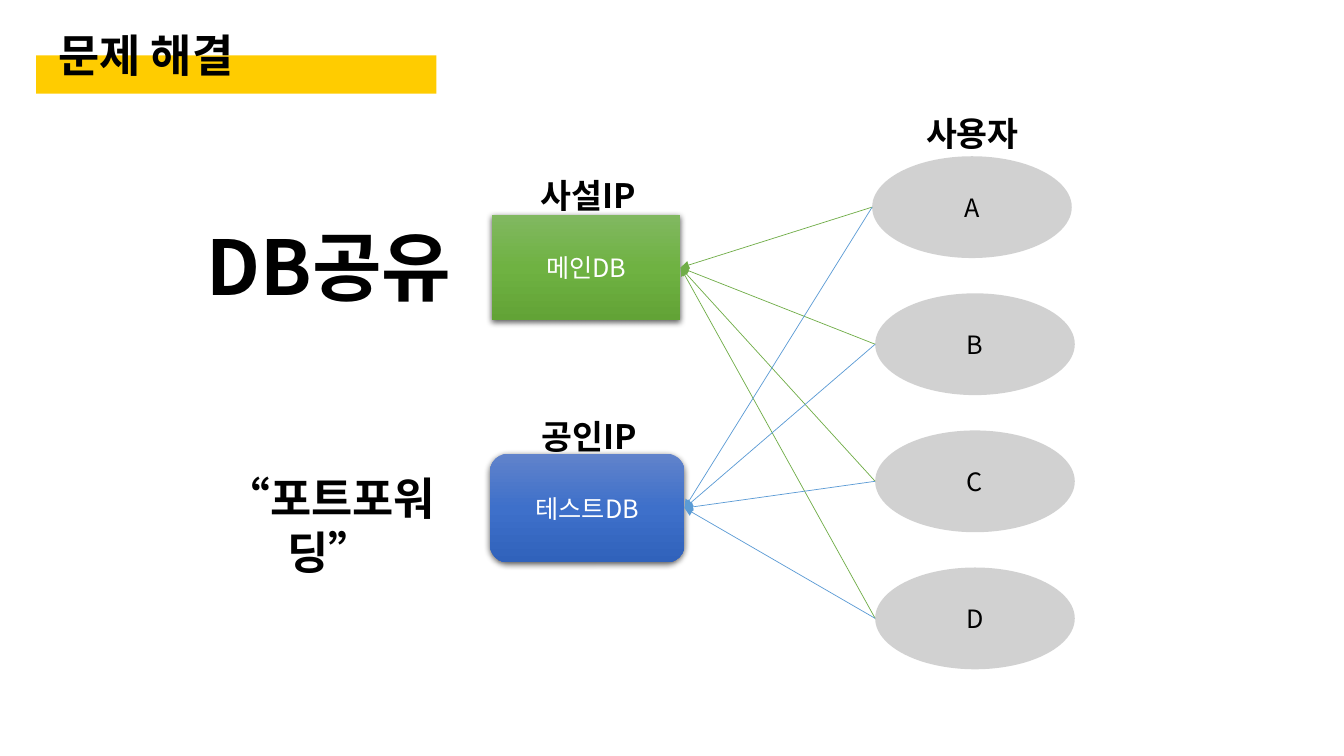
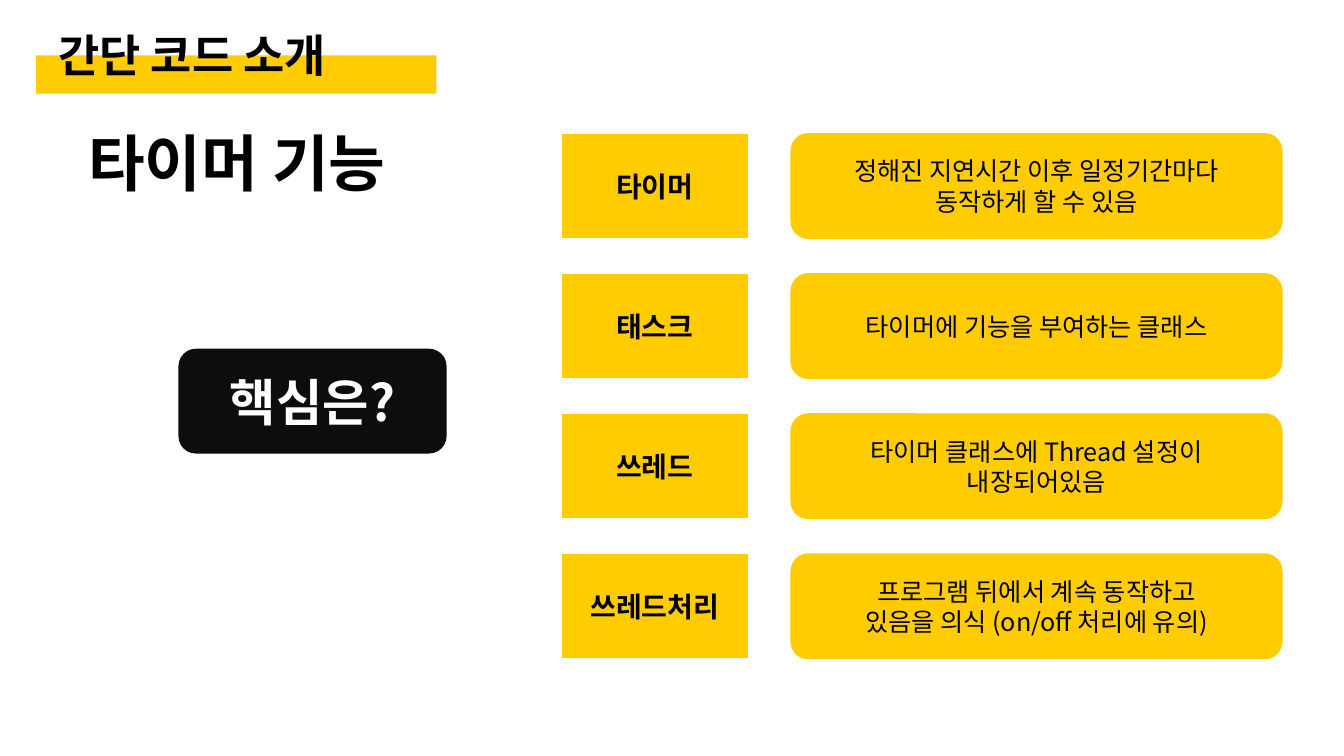
"""Build two slides: shared databases and the timer feature."""
from dataclasses import dataclass

from lxml.etree import SubElement
from pptx import Presentation
from pptx.dml.color import RGBColor
from pptx.enum.shapes import MSO_CONNECTOR, MSO_SHAPE as SHAPE
from pptx.enum.text import MSO_ANCHOR as ANCHOR, MSO_AUTO_SIZE as AUTOSIZE, PP_ALIGN as ALIGN
from pptx.oxml.ns import qn
from pptx.util import Emu, Pt


@dataclass(frozen=True)
class Theme:
    font: str = "Noto Sans CJK KR"
    black: str = "000000"
    white: str = "FFFFFF"
    ink: str = "0D0D0D"
    yellow: str = "FFCC00"
    gray: str = "A5A5A5"
    green_line: str = "70AD47"
    blue_line: str = "5B9BD5"
    green_fade: tuple = ("81B861", "6FB242", "62A336")
    blue_fade: tuple = ("6183CB", "3E70CA", "3062BB")
    body: int = 18
    name: int = 20
    label: int = 24
    title: int = 32
    question: int = 36
    heading: int = 44
    display: int = 54


T = Theme()
EMU_PER_PX = 9144


def px(*lengths):
    return [Emu(n * EMU_PER_PX) for n in lengths]


def rgb(color):
    return RGBColor.from_string(color)


def write(tf, text, size, color, bold, align):
    tf.word_wrap = True
    tf.text = text
    for p in tf.paragraphs:
        p.alignment = align
        for r in p.runs:
            r.font.size, r.font.bold, r.font.name = Pt(size), bold, T.font
            r.font.color.rgb = rgb(color)
            SubElement(r.font._element, qn("a:ea"), typeface=T.font)


def add_label(shapes, box, text, size, align=ALIGN.CENTER):
    tf = shapes.add_textbox(*px(*box)).text_frame
    write(tf, text, size, T.black, True, align)
    tf.auto_size = AUTOSIZE.SHAPE_TO_FIT_TEXT


def add_box(shapes, kind, box, fill, text="", size=T.body, color=T.black, bold=False, outline=None):
    sp = shapes.add_shape(kind, *px(*box))
    sp.fill.solid()
    sp.fill.fore_color.rgb = rgb(fill)
    if outline:
        sp.line.color.rgb = rgb(outline)
        sp.line.width = Pt(1.5)
    else:
        sp.line.fill.background()
    sp.shadow.inherit = False
    if text:
        write(sp.text_frame, text, size, color, bold, ALIGN.CENTER)
        sp.text_frame.vertical_anchor = ANCHOR.MIDDLE
    return sp


def set_alpha(color_element, percent):
    SubElement(color_element, qn("a:alpha"), val=str(percent * 1000))


def add_database(shapes, kind, box, fade, text):
    sp = add_box(shapes, kind, box, fade[0], text, color=T.white)
    sp.fill.gradient()
    sp.fill.gradient_angle = 270
    spPr = sp.element.spPr
    stops = spPr.find(qn("a:gradFill")).find(qn("a:gsLst"))
    stops.clear()
    for i, color in enumerate(fade):
        stop = SubElement(stops, qn("a:gs"), pos=str(i * 50000))
        SubElement(stop, qn("a:srgbClr"), val=color)
    shadow = SubElement(spPr.find(qn("a:effectLst")), qn("a:outerShdw"), blurRad=str(Pt(4.5)),
                        dist=str(Pt(1.5)), dir="5400000", algn="ctr", rotWithShape="0")
    set_alpha(SubElement(shadow, qn("a:srgbClr"), val=T.black), 63)
    return sp


def add_user(shapes, box, name):
    sp = add_box(shapes, SHAPE.OVAL, box, T.gray, name)
    set_alpha(sp.fill._xPr.find(qn("a:solidFill"))[0], 50)
    return sp


def add_arrow(shapes, user, database, color):
    line = shapes.add_connector(MSO_CONNECTOR.STRAIGHT, 0, 0, 0, 0)
    line.begin_connect(user, 2)
    line.end_connect(database, 3)
    line.begin_x, line.begin_y = user.left, user.top + user.height // 2
    line.line.color.rgb = rgb(color)
    line.line.width = Pt(0.5)
    SubElement(line.line._get_or_add_ln(), qn("a:tailEnd"), type="triangle")
    SubElement(line.element.spPr, qn("a:effectLst"))


def add_slide(prs, title):
    shapes = prs.slides.add_slide(prs.slide_layouts[6]).shapes
    header = shapes.add_group_shape().shapes
    add_box(header, SHAPE.RECTANGLE, (36, 55, 397, 38), T.yellow)
    add_label(header, (48, 23, 385, 64), title, T.title, ALIGN.LEFT)
    return shapes


def build_sharing(prs):
    shapes = add_slide(prs, "문제 해결")
    add_label(shapes, (176, 213, 301, 101), "DB공유", T.display)
    main_db = add_database(shapes, SHAPE.RECTANGLE, (488, 213, 187, 105), T.green_fade, "메인DB")
    test_db = add_database(shapes, SHAPE.ROUNDED_RECTANGLE, (486, 450, 193, 108), T.blue_fade, "테스트DB")
    users = [add_user(shapes, (left, 155 + i * 136, 198, 101), name)
             for i, (name, left) in enumerate(zip("ABCD", (865, 868, 868, 868)))]
    for database, color in ((main_db, T.green_line), (test_db, T.blue_line)):
        for user in users:
            add_arrow(shapes, user, database, color)
    add_label(shapes, (177, 462, 301, 64), "“포트포워딩”", T.title)
    for text, left, top in (("공인IP", 505, 408), ("사설IP", 504, 169), ("사용자", 885, 107)):
        add_label(shapes, (left, top, 159, 50), text, T.label)


def build_timer(prs):
    shapes = add_slide(prs, "간단 코드 소개")
    rows = (
        ("타이머", "정해진 지연시간 이후 일정기간마다\n동작하게 할 수 있음"),
        ("태스크", "타이머에 기능을 부여하는 클래스"),
        ("쓰레드", "타이머 클래스에 Thread 설정이\n내장되어있음"),
        ("쓰레드처리", "프로그램 뒤에서 계속 동작하고\n있음을 의식 (on/off 처리에 유의)"),
    )
    for i, (name, description) in enumerate(rows):
        top = 132 + i * 139
        add_box(shapes, SHAPE.RECTANGLE, (556, top, 187, 105), T.yellow, name, T.name,
                bold=True, outline=T.white)
        add_box(shapes, SHAPE.ROUNDED_RECTANGLE, (784, top, 488, 105), T.yellow, description)
    add_box(shapes, SHAPE.ROUNDED_RECTANGLE, (177, 346, 266, 104), T.ink, "핵심은?",
            T.question, T.white, True)
    add_label(shapes, (15, 119, 440, 84), "타이머 기능", T.heading)


def main():
    prs = Presentation()
    prs.slide_width, prs.slide_height = px(1333, 750)
    build_sharing(prs)
    build_timer(prs)
    prs.save("out.pptx")


if __name__ == "__main__":
    main()
